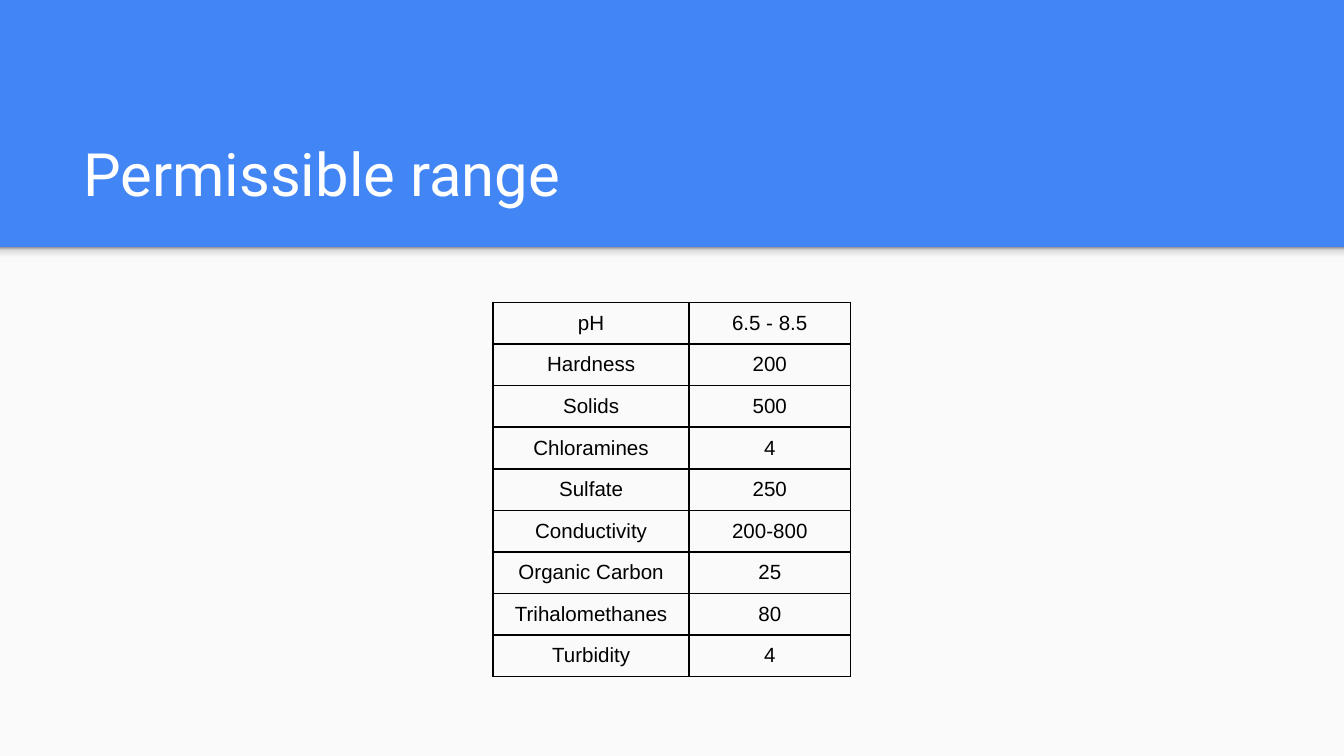
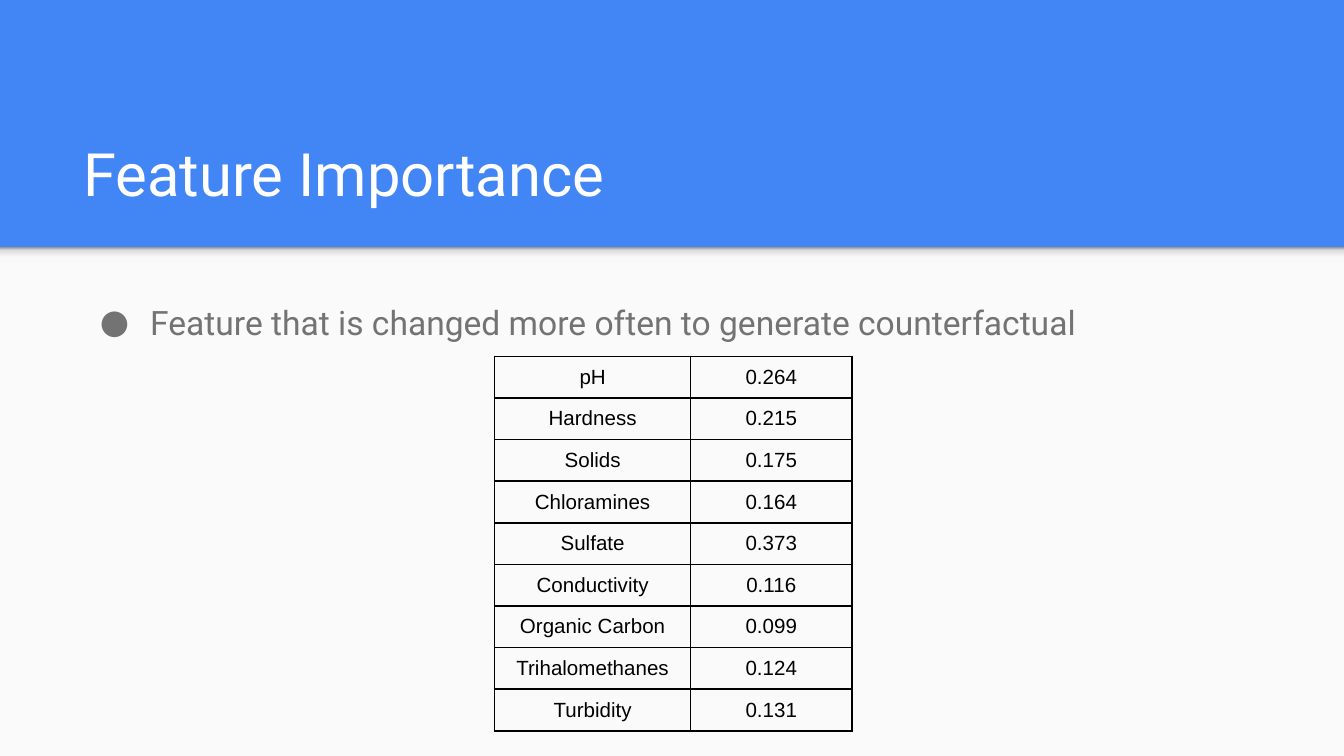
from lxml import etree
from pptx import Presentation
from pptx.dml.color import RGBColor
from pptx.enum import shapes, text
from pptx.oxml import ns
from pptx.util import Pt

WIDTH, HEIGHT = 720, 405
BAND_BOTTOM = 132.5
BLUE, PAPER, WHITE, BLACK, GREY = "4285F4", "FAFAFA", "FFFFFF", "000000", "737373"
SHADOW_STOPS = [(0, "F9F9F9"), (36, "F9F9F9"), (80, "DEDEDE"), (100, "999999")]
COLUMNS, ROW = (105, 86.4), 22.3
FEATURES = ["pH", "Hardness", "Solids", "Chloramines", "Sulfate", "Conductivity",
            "Organic Carbon", "Trihalomethanes", "Turbidity"]
RANGES = ["6.5 - 8.5", "200", "500", "4", "250", "200-800", "25", "80", "4"]
IMPORTANCE = ["0.264", "0.215", "0.175", "0.164", "0.373", "0.116", "0.099", "0.124", "0.131"]


def rgb(value):
    """Turn a hex string into a colour."""
    return RGBColor.from_string(value)


def element(parent, tag, **attributes):
    """Append a DrawingML element to a parent."""
    return etree.SubElement(parent, ns.qn("a:" + tag), attributes)


def add_run(p, words, font, size, colour):
    """Add one formatted run to a paragraph."""
    r = p.add_run()
    r.text = words
    r.font.name, r.font.size = font, Pt(size)
    r.font.color.rgb = rgb(colour)


def set_frame(tf, anchor):
    """Give a text frame its wrapping, insets and anchor."""
    tf.word_wrap = True
    tf.auto_size = text.MSO_AUTO_SIZE.NONE
    tf.vertical_anchor = anchor
    tf.margin_left = tf.margin_right = tf.margin_top = tf.margin_bottom = Pt(7.2)


def add_panel(s, top, height):
    """Add a full-width rectangle in the paper colour."""
    sp = s.shapes.add_shape(shapes.MSO_SHAPE.RECTANGLE, 0, Pt(top), Pt(WIDTH), Pt(height))
    sp.shadow.inherit = False
    sp.fill.solid()
    sp.fill.fore_color.rgb = rgb(PAPER)
    sp.line.fill.background()
    return sp


def fade(sp):
    """Replace a shape's fill by the soft shadow gradient."""
    solid = sp.element.spPr.find(ns.qn("a:solidFill"))
    gradient = etree.Element(ns.qn("a:gradFill"))
    stops = element(gradient, "gsLst")
    for percent, colour in SHADOW_STOPS:
        stop = element(stops, "gs", pos=str(percent * 1000))
        element(stop, "srgbClr", val=colour)
    element(gradient, "lin", ang="16200000", scaled="0")
    solid.getparent().replace(solid, gradient)


def add_slide(prs, title):
    """Add a slide with the blue header, paper panel and title."""
    s = prs.slides.add_slide(prs.slide_layouts[5])
    s.background.fill.solid()
    s.background.fill.fore_color.rgb = rgb(BLUE)
    add_panel(s, BAND_BOTTOM, HEIGHT - BAND_BOTTOM)
    fade(add_panel(s, BAND_BOTTOM, 8.6))
    sp = s.shapes.title
    sp.left, sp.top, sp.width, sp.height = Pt(37.4), Pt(58.3), Pt(647.3), Pt(60.5)
    set_frame(sp.text_frame, text.MSO_ANCHOR.BOTTOM)
    p = sp.text_frame.paragraphs[0]
    p.alignment = text.PP_ALIGN.LEFT
    add_run(p, title, "Roboto", 32, WHITE)
    return s


def add_bullet(s, words):
    """Add a bulleted line below the header."""
    sp = s.shapes.add_textbox(Pt(37.4), Pt(151.2), Pt(647.3), Pt(39.6))
    set_frame(sp.text_frame, text.MSO_ANCHOR.TOP)
    p = sp.text_frame.paragraphs[0]
    p.line_spacing = 1.15
    pPr = p._p.get_or_add_pPr()
    pPr.set("marL", str(Pt(36)))
    pPr.set("indent", str(Pt(-27)))
    element(element(pPr, "buClr"), "srgbClr", val=GREY)
    element(pPr, "buFont", typeface="Roboto")
    element(pPr, "buChar", char="●")
    add_run(p, words, "Roboto", 18, GREY)


def add_borders(cell):
    """Draw a thin black line on each side of a cell."""
    tcPr = cell._tc.get_or_add_tcPr()
    for side in ("lnL", "lnR", "lnT", "lnB"):
        line = element(tcPr, side, w=str(Pt(1)))
        element(element(line, "solidFill"), "srgbClr", val=BLACK)


def add_feature_table(s, left, top, values):
    """Add a table that pairs each feature with its value."""
    frame = s.shapes.add_table(len(FEATURES), len(COLUMNS), Pt(left), Pt(top),
                               Pt(sum(COLUMNS)), Pt(ROW * len(FEATURES)))
    table = frame.table
    table.first_row = table.horz_banding = False
    for column, width in zip(table.columns, COLUMNS):
        column.width = Pt(width)
    for row, texts in zip(table.rows, zip(FEATURES, values)):
        row.height = Pt(ROW)
        for cell, words in zip(row.cells, texts):
            cell.margin_left = cell.margin_right = cell.margin_top = cell.margin_bottom = Pt(5)
            add_borders(cell)
            cell.fill.background()
            p = cell.text_frame.paragraphs[0]
            p.alignment = text.PP_ALIGN.CENTER
            add_run(p, words, "Arial", 11, BLACK)


def main():
    """Build and save both slides."""
    prs = Presentation()
    prs.slide_width, prs.slide_height = Pt(WIDTH), Pt(HEIGHT)
    s = add_slide(prs, "Permissible range")
    add_feature_table(s, 264.2, 162, RANGES)
    s = add_slide(prs, "Feature Importance")
    add_bullet(s, "Feature that is changed more often to generate counterfactual")
    add_feature_table(s, 265, 191, IMPORTANCE)
    prs.save("out.pptx")


if __name__ == "__main__":
    main()
